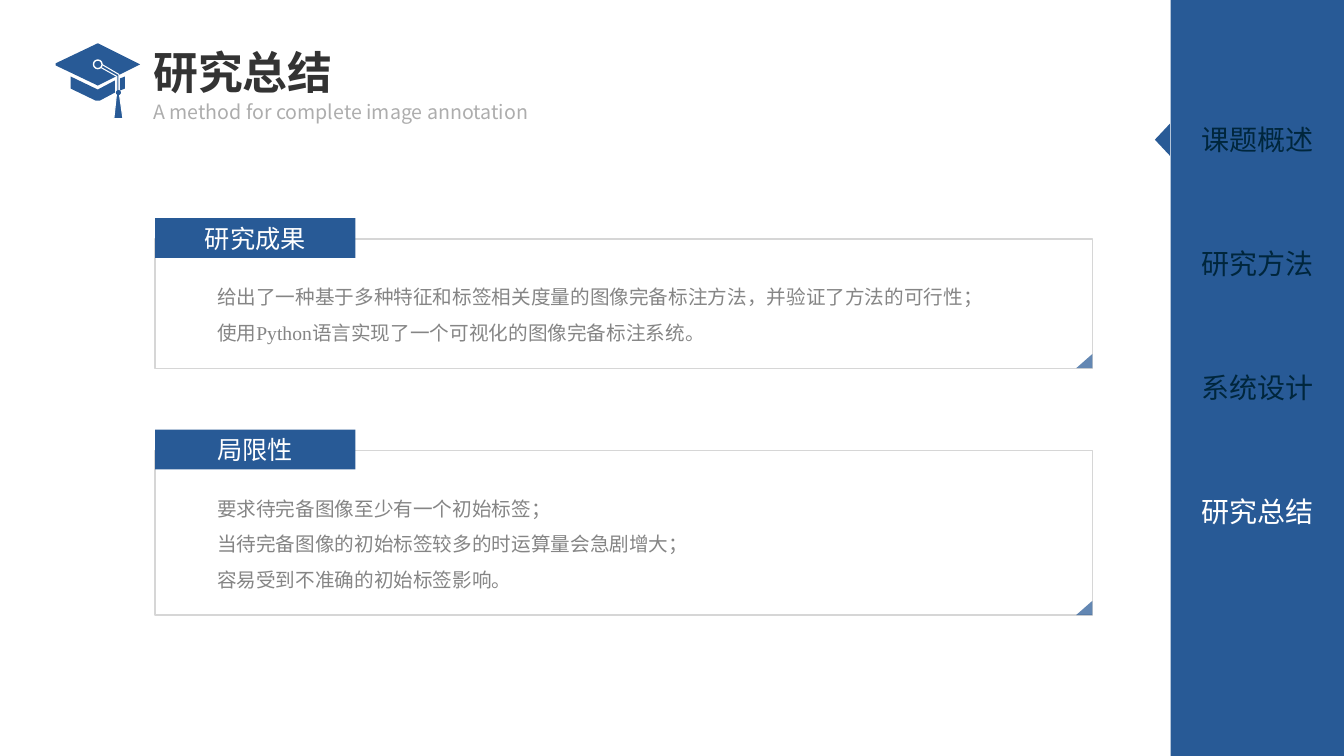
from lxml.etree import SubElement
from pptx import Presentation
from pptx.dml.color import RGBColor
from pptx.enum.shapes import MSO_SHAPE
from pptx.enum.text import MSO_ANCHOR, MSO_AUTO_SIZE, PP_ALIGN
from pptx.oxml.ns import qn
from pptx.util import Cm, Pt

BLUE = RGBColor(0x28, 0x5A, 0x96)
WHITE = RGBColor(0xFF, 0xFF, 0xFF)
DARK = RGBColor(0x33, 0x33, 0x33)
GREY = RGBColor(0x85, 0x85, 0x85)
PALE = RGBColor(0xAD, 0xAD, 0xAD)
EDGE = RGBColor(0xD6, 0xD6, 0xD6)
NAVY = RGBColor(0x00, 0x26, 0x3C)
SANS = "Noto Sans CJK SC"
SERIF = "Times New Roman"


def write(frame, lines, size, color, bold=False, align=PP_ALIGN.LEFT,
          spacing=1.0, indent=0, anchor=MSO_ANCHOR.TOP):
    """Fill a frame; each line is a list of (text, Latin font) runs."""
    frame.word_wrap = True
    frame.auto_size = MSO_AUTO_SIZE.NONE
    frame.vertical_anchor = anchor
    for i, line in enumerate(lines):
        para = frame.add_paragraph() if i else frame.paragraphs[0]
        para.alignment = align
        para.line_spacing = spacing
        para.space_before = Pt(0)
        if indent:
            props = para._p.get_or_add_pPr()
            props.set("marL", "0")
            props.set("indent", str(Cm(indent)))
        for text, face in line:
            run = para.add_run()
            run.text = text
            run.font.name = face
            run.font.size = Pt(size)
            run.font.bold = bold
            run.font.color.rgb = color
            east = SubElement(run._r.get_or_add_rPr(), qn("a:ea"))
            east.set("typeface", SANS)


def add_text(slide, box, lines, **style):
    area = slide.shapes.add_textbox(*map(Cm, box))
    write(area.text_frame, lines, **style)


def paint(shape, fill=BLUE, line=None, width=1):
    shape.shadow.inherit = False
    if fill is None:
        shape.fill.background()
    else:
        shape.fill.solid()
        shape.fill.fore_color.rgb = fill
    if line is None:
        shape.line.fill.background()
    else:
        shape.line.color.rgb = line
        shape.line.width = Pt(width)
    return shape


def add_shape(slide, kind, box, **style):
    return paint(slide.shapes.add_shape(kind, *map(Cm, box)), **style)


def draw_cap(slide, left, top, width):
    unit = width / 84
    board = [(42, 0), (84, 21), (42, 42), (0, 22), (0, 20)]
    base = [(15, 33), (42, 46), (59, 37), (59, 49), (44, 57), (40, 57), (15, 45)]
    flap = [(64, 35), (69, 33), (69, 45), (64, 47)]
    rope = [(46, 21), (63, 31), (63, 47), (67, 75), (58, 75), (61, 47),
            (61, 33), (45, 24)]
    for points, line in ((board, None), (base, None), (flap, None), (rope, WHITE)):
        path = slide.shapes.build_freeform(*points[0], scale=Cm(unit))
        path.add_line_segments(points[1:])
        paint(path.convert_to_shape(Cm(left), Cm(top)), line=line, width=0.75)
    # Button and knot
    for x, y, r, line in ((42, 21, 4.3, WHITE), (62.5, 49, 2.5, None)):
        box = (left + (x - r) * unit, top + (y - r) * unit, 2 * r * unit, 2 * r * unit)
        add_shape(slide, MSO_SHAPE.OVAL, box, line=line)


def draw_head(slide, left, top, width):
    draw_cap(slide, left, top + 0.15, 2.13)
    title = slide.shapes.title
    title.left, title.top = Cm(left + 2.21), Cm(top)
    title.width, title.height = Cm(width), Cm(1.9)
    write(title.text_frame, [[("研究总结", SANS)]], size=32, color=DARK,
          bold=True, spacing=0.9, anchor=MSO_ANCHOR.MIDDLE)
    add_text(slide, (left + 2.21, top + 1.45, 10.67, 0.86),
             [[("A method for complete image annotation", SANS)]],
             size=14, color=PALE)


def draw_nav(slide, left, top, width, height):
    add_shape(slide, MSO_SHAPE.RECTANGLE, (left, top, width, height))
    mark = add_shape(slide, MSO_SHAPE.ISOSCELES_TRIANGLE,
                     (left - 0.61, top + 3.33, 0.81, 0.38))
    mark.rotation = 270
    names = ["课题概述", "研究方法", "系统设计", "研究总结"]
    for i, name in enumerate(names):
        add_text(slide, (left + 0.25, top + 2.97 + i * 3.12, width - 0.5, 1.11),
                 [[(name, SANS)]], size=20, align=PP_ALIGN.CENTER,
                 color=WHITE if name == names[-1] else NAVY)


def draw_panel(slide, left, top, width, height, label, lines):
    add_shape(slide, MSO_SHAPE.RECTANGLE, (left, top, width, height),
              fill=None, line=EDGE)
    add_text(slide, (left + 0.31, top + 0.75, width - 0.56, height - 1.32), lines,
             size=14, color=GREY, align=PP_ALIGN.JUSTIFY, spacing=1.5, indent=1)
    # Label on the top edge
    tag = (left, top - 0.52, 5.05, 1)
    add_shape(slide, MSO_SHAPE.RECTANGLE, tag)
    add_text(slide, tag, [[(label, SANS)]], size=18, color=WHITE,
             align=PP_ALIGN.CENTER)
    # Folded corner
    fold = add_shape(slide, MSO_SHAPE.ISOSCELES_TRIANGLE,
                     (left + width - 0.41, top + height - 0.36, 0.41, 0.36))
    fold.adjustments[0] = 1
    tint = fold.fill._xPr.find(qn("a:solidFill"))[0]
    SubElement(tint, qn("a:alpha")).set("val", "72000")


def main():
    deck = Presentation()
    deck.slide_width, deck.slide_height = Cm(33.87), Cm(19.05)
    slide = deck.slides.add_slide(deck.slide_layouts[5])
    draw_head(slide, 1.4, 0.94, 14.6)
    draw_nav(slide, 29.5, 0, 4.37, 19.05)
    draw_panel(slide, 3.91, 6.02, 23.62, 3.26, "研究成果", [
        [("给出了一种基于多种特征和标签相关度量的图像完备标注方法，并验证了方法的可行性；", SANS)],
        [("使用", SANS), ("Python", SERIF),
         ("语言实现了一个可视化的图像完备标注系统。", SANS)],
    ])
    draw_panel(slide, 3.91, 11.35, 23.62, 4.15, "局限性", [
        [("要求待完备图像至少有一个初始标签；", SANS)],
        [("当待完备图像的初始标签较多的时运算量会急剧增大；", SANS)],
        [("容易受到不准确的初始标签影响。", SANS)],
    ])
    deck.save("out.pptx")


if __name__ == "__main__":
    main()
